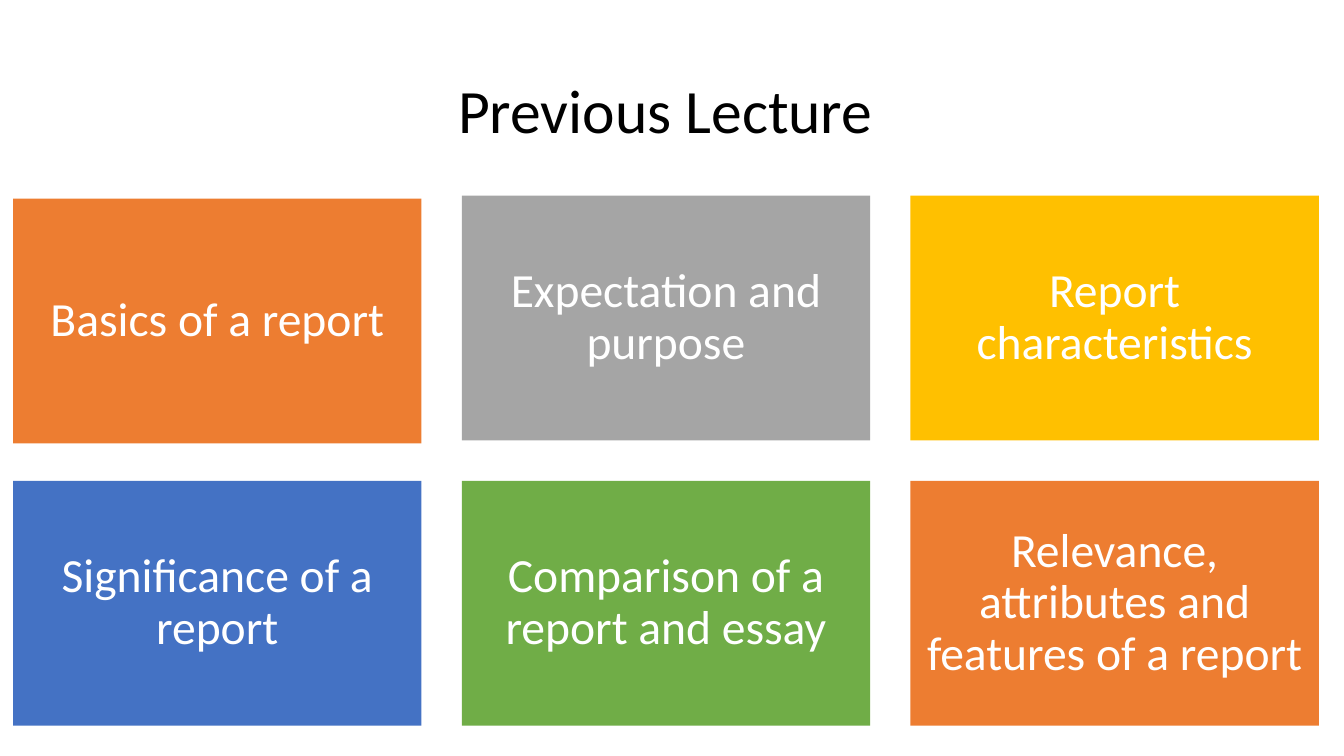
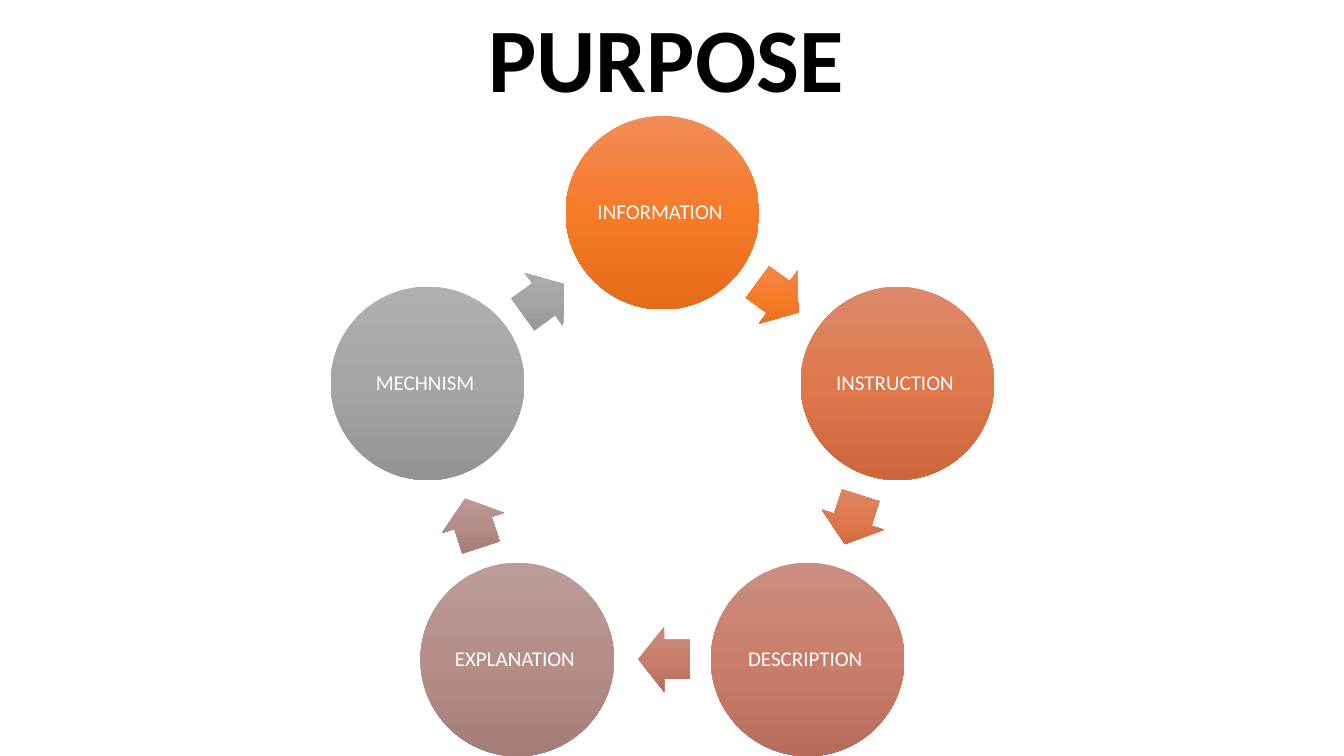
import copy
import math

import pptx
import pptx.dml.color
import pptx.enum.shapes
import pptx.enum.text
import pptx.util

Inches = pptx.util.Inches
RGBColor = pptx.dml.color.RGBColor
SHAPES = pptx.enum.shapes.MSO_SHAPE

# Shared colours
BLACK = RGBColor(0x00, 0x00, 0x00)
WHITE = RGBColor(0xFF, 0xFF, 0xFF)
ORANGE = RGBColor(0xED, 0x7D, 0x31)
GRAY = RGBColor(0xA5, 0xA5, 0xA5)
GOLD = RGBColor(0xFF, 0xC0, 0x00)
BLUE = RGBColor(0x44, 0x72, 0xC4)
GREEN = RGBColor(0x70, 0xAD, 0x47)

# Light, middle and dark tone of each step in the cycle
ORANGE_TONES = (RGBColor(0xF1, 0x8C, 0x57), RGBColor(0xF6, 0x7B, 0x28), RGBColor(0xE5, 0x6C, 0x19))
RUST_TONES = (RGBColor(0xDD, 0x8A, 0x6A), RGBColor(0xDE, 0x77, 0x4B), RGBColor(0xCD, 0x67, 0x3B))
CLAY_TONES = (RGBColor(0xCB, 0x8F, 0x81), RGBColor(0xC9, 0x7E, 0x6B), RGBColor(0xB7, 0x6D, 0x5B))
MAUVE_TONES = (RGBColor(0xBC, 0x9C, 0x99), RGBColor(0xB6, 0x8E, 0x89), RGBColor(0xA4, 0x7C, 0x78))
GRAY_TONES = (RGBColor(0xAF, 0xAF, 0xAF), GRAY, RGBColor(0x93, 0x93, 0x93))


def add_text(para, text, *, size, color=WHITE, bold=False, font="Calibri"):
    """Add one formatted span to a centred paragraph."""
    para.alignment = pptx.enum.text.PP_ALIGN.CENTER
    para.line_spacing = 0.9
    span = para.add_run()
    span.text = text
    span.font.name = font
    span.font.size = pptx.util.Pt(size)
    span.font.bold = bold
    span.font.color.rgb = color


class Slides:
    """The deck, its style and the current page."""

    def __init__(self):
        self.deck = pptx.Presentation()
        self.deck.slide_width = Inches(13.33)
        self.deck.slide_height = Inches(7.5)
        self.page = None

    def new_page(self):
        self.page = self.deck.slides.add_slide(self.deck.slide_layouts[6])

    def first_para(self, box, inset=None):
        frame = box.text_frame
        frame.word_wrap = True
        frame.vertical_anchor = pptx.enum.text.MSO_ANCHOR.MIDDLE
        if inset is not None:
            frame.margin_left = frame.margin_right = Inches(inset)
            frame.margin_top = frame.margin_bottom = Inches(inset)
        return frame.paragraphs[0]

    def title(self, top, height, text, **style):
        box = self.page.shapes.add_textbox(Inches(0.92), Inches(top), Inches(11.5), Inches(height))
        para = self.first_para(box)
        add_text(para, text, color=BLACK, **style)
        return para

    def shape(self, kind, left, top, width, height):
        box = self.page.shapes.add_shape(
            kind, Inches(left), Inches(top), Inches(width), Inches(height))
        box.shadow.inherit = False
        box.line.fill.background()
        return box

    def shade(self, box, tones):
        """Fill from top to bottom with three tones, however the shape is turned."""
        box.fill.gradient()
        box.fill.gradient_angle = 270
        gradient = box.fill.gradient_stops[0]._gs.getparent().getparent()
        gradient.set("rotWithShape", "0")
        stop_list = gradient[0]
        stop_list.insert(1, copy.deepcopy(stop_list[0]))
        for stop, position, tone in zip(box.fill.gradient_stops, (0, 0.5, 1), tones):
            stop.position = position
            stop.color.rgb = tone

    def card(self, left, top, text, color):
        box = self.shape(SHAPES.RECTANGLE, left, top, 4.05, 2.43)
        box.fill.solid()
        box.fill.fore_color.rgb = color
        add_text(self.first_para(box, 0.14), text, size=34)

    def circle(self, center_x, center_y, diameter, text, tones):
        box = self.shape(SHAPES.OVAL, center_x - diameter / 2, center_y - diameter / 2,
                         diameter, diameter)
        self.shade(box, tones)
        add_text(self.first_para(box, 0.02), text, size=15)

    def arrow(self, center_x, center_y, rotation, tones):
        width, height = 0.51, 0.65
        box = self.shape(SHAPES.RIGHT_ARROW, center_x - width / 2, center_y - height / 2,
                         width, height)
        box.adjustments[0] = 0.6
        box.adjustments[1] = 0.5
        box.rotation = rotation
        self.shade(box, tones)


def on_ring(radius, degrees):
    """Point on the cycle, with degrees counted clockwise from the top."""
    angle = math.radians(degrees)
    return 6.57 + radius * math.sin(angle), 4.56 - radius * math.cos(angle)


def previous_lecture(slides):
    slides.new_page()
    slides.title(0.4, 1.45, "Previous Lecture ", size=44)
    cards = [
        ("Basics of a report", ORANGE),
        ("Expectation and purpose", GRAY),
        ("Report characteristics", GOLD),
        ("Significance of a report", BLUE),
        ("Comparison of a report and essay", GREEN),
        ("Relevance, attributes and features of a report", ORANGE),
    ]
    for index, (text, color) in enumerate(cards):
        row, column = divmod(index, 3)
        drop = 0.03 if index == 0 else 0  # the first card sits slightly lower
        slides.card(0.13 + 4.45 * column, 1.94 + 2.83 * row + drop, text, color)


def purpose(slides):
    slides.new_page()
    para = slides.title(0.11, 1.04, "PURPOSE", size=64.8, bold=True)
    add_text(para, " ", size=39.6, color=BLACK)
    steps = [
        ("INFORMATION ", ORANGE_TONES),
        ("INSTRUCTION ", RUST_TONES),
        ("DESCRIPTION ", CLAY_TONES),
        ("EXPLANATION ", MAUVE_TONES),
        ("MECHNISM ", GRAY_TONES),
    ]
    turn = 360 / len(steps)
    for index, (text, tones) in enumerate(steps):
        slides.circle(*on_ring(2.45, index * turn), 1.92, text, tones)
        halfway = (index + 0.5) * turn
        slides.arrow(*on_ring(1.98, halfway - 0.5), halfway, tones)


def main():
    slides = Slides()
    previous_lecture(slides)
    purpose(slides)
    slides.deck.save("out.pptx")


if __name__ == "__main__":
    main()
